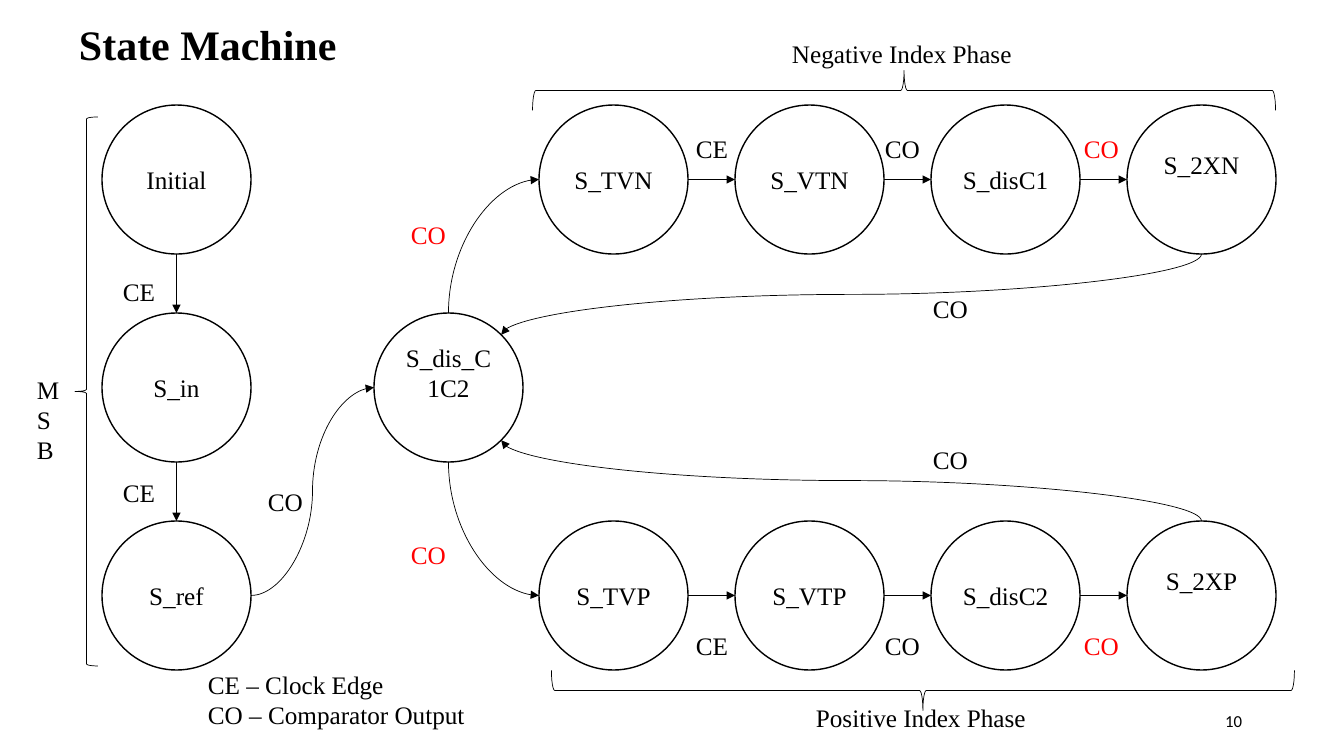
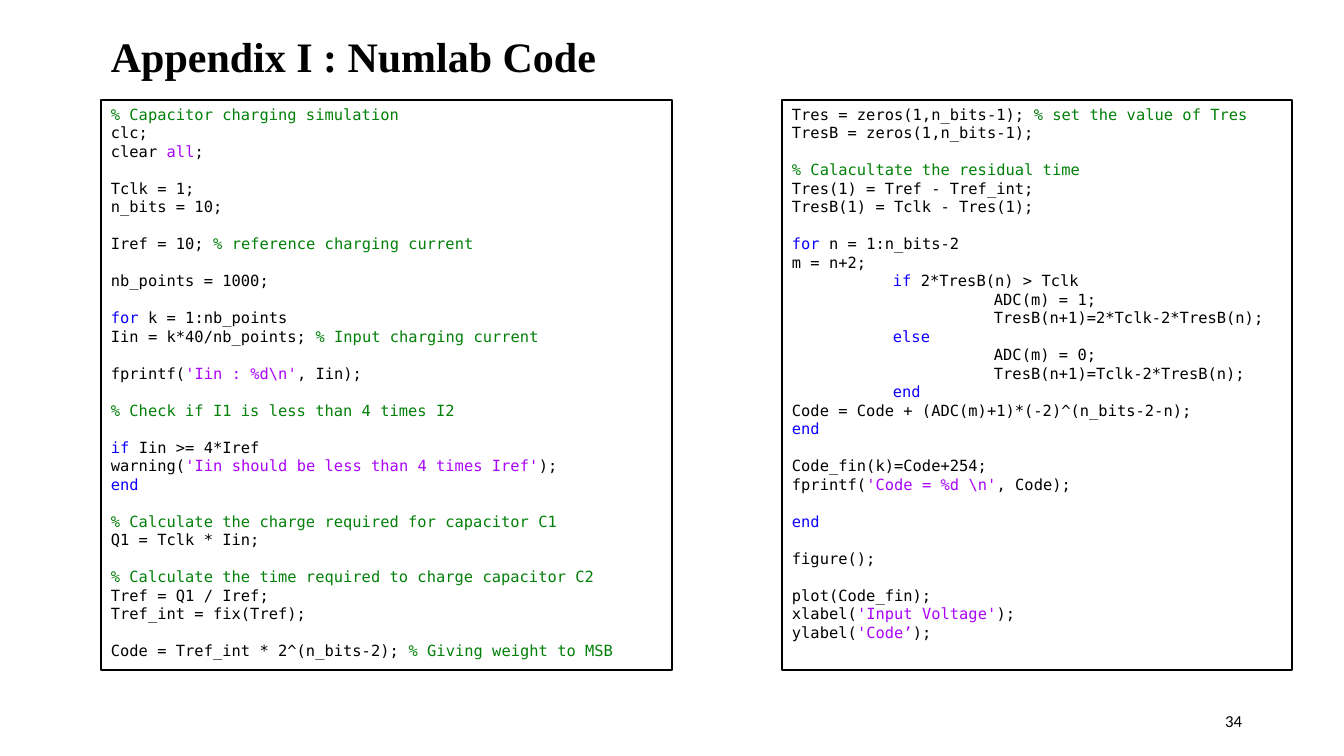
from math import cos, radians, sin

from lxml.etree import SubElement
from pptx import Presentation
from pptx.dml.color import RGBColor
from pptx.enum.shapes import MSO_CONNECTOR, MSO_SHAPE
from pptx.enum.text import MSO_ANCHOR, PP_ALIGN
from pptx.oxml.ns import qn
from pptx.util import Emu, Pt

SCALE = 914400 / 100.8
HUES = {"k": "000000", "r": "FF0000", "g": "028009", "b": "0E00FF", "p": "AA04F9"}
SERIF, MONO, SANS = "Times New Roman", "DejaVu Sans Mono", "Calibri"
TAB = 101


def px(size):
    return Emu(round(size * SCALE))


def hue(key):
    return RGBColor.from_string(HUES[key])


def put(item, **vals):
    for name, val in vals.items():
        setattr(item, name, val)


class Deck:
    def __init__(self):
        self.show = Presentation()
        put(self.show, slide_width=px(1344), slide_height=px(756))

    def page(self, title, left, top, num):
        self.slide = self.show.slides.add_slide(self.show.slide_layouts[6])
        self.shapes = self.slide.shapes
        para = self.text(title, left, top, 1159, 69, size=30, bold=True)
        para.line_spacing = 0.9
        self.text(num, 950, 701, 302, 40, size=12, face=SANS,
                  align=PP_ALIGN.RIGHT, anchor=MSO_ANCHOR.MIDDLE)

    def run(self, para, words, key="k", size=18, face=SERIF, bold=False):
        run = para.add_run()
        run.text = words
        put(run.font, size=Pt(size), name=face, bold=bold)
        run.font.color.rgb = hue(key)

    def text(self, words, left, top, wide, high=40, align=PP_ALIGN.LEFT,
             anchor=MSO_ANCHOR.TOP, **look):
        frame = self.shapes.add_textbox(px(left), px(top), px(wide), px(high)).text_frame
        put(frame, word_wrap=True, vertical_anchor=anchor)
        for i, line in enumerate(words.split("\n")):
            para = frame.add_paragraph() if i else frame.paragraphs[0]
            para.alignment = align
            self.run(para, line, **look)
        return para

    def shape(self, kind, left, top, wide, high, line, turn=0):
        shape = self.shapes.add_shape(kind, px(left), px(top), px(wide), px(high))
        shape.shadow.inherit = False
        shape.fill.background()
        shape.line.color.rgb = hue("k")
        put(shape.line, width=Pt(line))
        put(shape, rotation=turn)
        return shape

    def state(self, name, left, top, lift=0):
        frame = self.shape(MSO_SHAPE.OVAL, left, top, SIZE, SIZE, 1).text_frame
        put(frame, word_wrap=True, vertical_anchor=MSO_ANCHOR.MIDDLE,
            margin_bottom=px(5 + 2 * lift))
        para = frame.paragraphs[0]
        para.alignment = PP_ALIGN.CENTER
        self.run(para, name)

    def brace(self, left, top, wide, high, turn=0):
        self.shape(MSO_SHAPE.LEFT_BRACE, left, top, wide, high, 0.5, turn)

    def arrow(self, start, end, form="line", turn=0):
        # Ends are given as seen, then turned back about their middle
        mid = [(a + b) / 2 for a, b in zip(start, end)]
        c, s = cos(radians(turn)), sin(radians(turn))
        ends = []
        for x, y in (start, end):
            dx, dy = x - mid[0], y - mid[1]
            ends += [px(mid[0] + c * dx + s * dy), px(mid[1] - s * dx + c * dy)]
        kind = MSO_CONNECTOR.STRAIGHT if form == "line" else MSO_CONNECTOR.CURVE
        link = self.shapes.add_connector(kind, *ends)
        link.line.color.rgb = hue("k")
        link.line.width = Pt(0.5)
        prop = link.element.spPr
        prop.find(qn("a:prstGeom")).set("prst", form)
        if turn:
            prop.find(qn("a:xfrm")).set("rot", str(turn * 60000))
        SubElement(prop.find(qn("a:ln")), qn("a:tailEnd"), type="triangle")
        SubElement(prop, qn("a:effectLst"))

    def code(self, lines, left, wide):
        # A bar starts a run and is followed by its colour key
        frame = self.shape(MSO_SHAPE.RECTANGLE, left, 100, wide, 570, 1.5).text_frame
        put(frame, word_wrap=True, vertical_anchor=MSO_ANCHOR.TOP)
        para, gap = None, 0
        for line in lines.strip().split("\n"):
            if not line:
                gap += 13.2
                continue
            para = frame.add_paragraph() if para else frame.paragraphs[0]
            put(para, alignment=PP_ALIGN.LEFT, space_before=Pt(gap))
            gap = 0
            bare = line.lstrip(">")
            depth = len(line) - len(bare)
            if depth:
                put_in = para._p.get_or_add_pPr()
                put_in.set("marL", str(px(depth * TAB)))
            first, *rest = bare.split("|")
            for part in ["k" + first] + rest:
                if part[1:]:
                    self.run(para, part[1:], part[0], 11, MONO)


deck = Deck()

# State machine: grid of states
SIZE, HALF = 149, 74.5
MAIN, HUB = 102, 374
COLS = [539 + 196 * i for i in range(4)]
ROWS = [105 + 208 * i for i in range(3)]
MIDS = [row + HALF for row in ROWS]
deck.page("State Machine", 69, 19, "10")
for name, row in zip(("Initial", "S_in", "S_ref"), ROWS):
    deck.state(name, MAIN, row)
deck.state("S_dis_C1C2", HUB, ROWS[1], 15)
PHASES = ((ROWS[0], ("S_TVN", "S_VTN", "S_disC1", "S_2XN")),
          (ROWS[2], ("S_TVP", "S_VTP", "S_disC2", "S_2XP")))
for row, names in PHASES:
    for name, col in zip(names, COLS):
        deck.state(name, col, row, 15 if col == COLS[-1] else 0)

# Straight arrows
for row, low in zip(ROWS, ROWS[1:]):
    deck.arrow((MAIN + HALF, row + SIZE), (MAIN + HALF, low))
for mid in (MIDS[0], MIDS[2]):
    for col, after in zip(COLS, COLS[1:]):
        deck.arrow((col + SIZE, mid), (after, mid))

# Curved arrows
BEND, WAVE = "curvedConnector2", "curvedConnector3"
AXIS, LAST = HUB + HALF, COLS[-1] + HALF
DIAG = HALF * sin(radians(45))
deck.arrow((MAIN + SIZE, MIDS[2]), (HUB, MIDS[1]), WAVE)
deck.arrow((AXIS, ROWS[1]), (COLS[0], MIDS[0]), BEND, 90)
deck.arrow((AXIS, ROWS[1] + SIZE), (COLS[0], MIDS[2]), BEND, 270)
deck.arrow((LAST, ROWS[0] + SIZE), (AXIS + DIAG, MIDS[1] - DIAG), WAVE, 90)
deck.arrow((LAST, ROWS[2]), (AXIS + DIAG, MIDS[1] + DIAG), WAVE, 270)

# Arrow labels
for top in (271, 472):
    deck.text("CE", 113, top, 65)
deck.text("CO", 258, 481, 65)
for top in (288, 439):
    deck.text("CO", 923, top, 65)
for top in (214, 534):
    deck.text("CO", 401, top, 65, key="r")
for top in (128, 625):
    for word, left, key in (("CE", 686, "k"), ("CO", 875, "k"), ("CO", 1074, "r")):
        deck.text(word, left, top, 65, key=key)

# Braces and legend
deck.brace(75, 117, 23, 549)
deck.brace(903, 319, 40, 743, 270)
deck.brace(884, -281, 40, 743, 90)
deck.text("MSB", 27, 369, 32, 102)
deck.text("Positive Index Phase ", 759, 697, 330, align=PP_ALIGN.CENTER)
deck.text("Negative Index Phase ", 740, 33, 330, align=PP_ALIGN.CENTER)
deck.text("CE – Clock Edge\nCO – Comparator Output", 198, 664, 365, 72)

# Appendix: code panels, each ">" is one indent
deck.page("Appendix I : Numlab Code", 101, 31, "34")
deck.code(r"""
|g% Capacitor charging simulation
clc;
clear |pall|k;

Tclk = 1;
n_bits = 10;

Iref = 10; |g% reference charging current

nb_points = 1000;

|bfor |kk = 1:nb_points
Iin = k*40/nb_points; |g% Input charging current

fprintf(|p'Iin : %d\n'|k, Iin);

|g% Check if I1 is less than 4 times I2

|bif |kIin >= 4*Iref
warning(|p'Iin should be less than 4 times Iref'|k);
|bend

|g% Calculate the charge required for capacitor C1
Q1 = Tclk * Iin;

|g% Calculate the time required to charge capacitor C2
Tref = Q1 / Iref;
Tref_int = fix(Tref);

Code = Tref_int * 2^(n_bits-2); |g% Giving weight to MSB
""", 101, 571)
deck.code(r"""
Tres = zeros(1,n_bits-1); |g% set the value of Tres
TresB = zeros(1,n_bits-1);

|g% Calacultate the residual time
Tres(1) = Tref - Tref_int;
TresB(1) = Tclk - Tres(1);

|bfor |kn = 1:n_bits-2
m = n+2;
>|bif |k2*TresB(n) > Tclk
>>ADC(m) = 1;
>>TresB(n+1)=2*Tclk-2*TresB(n);
>|belse
>>ADC(m) = 0;
>>TresB(n+1)=Tclk-2*TresB(n);
>|bend
Code = Code + (ADC(m)+1)*(-2)^(n_bits-2-n);
|bend

Code_fin(k)=Code+254;
fprintf(|p'Code = %d \n'|k, Code);

|bend

figure();

plot(Code_fin);
xlabel(|p'Input Voltage'|k);
ylabel(|p'Code’|k);
""", 782, 510)

deck.show.save("out.pptx")
